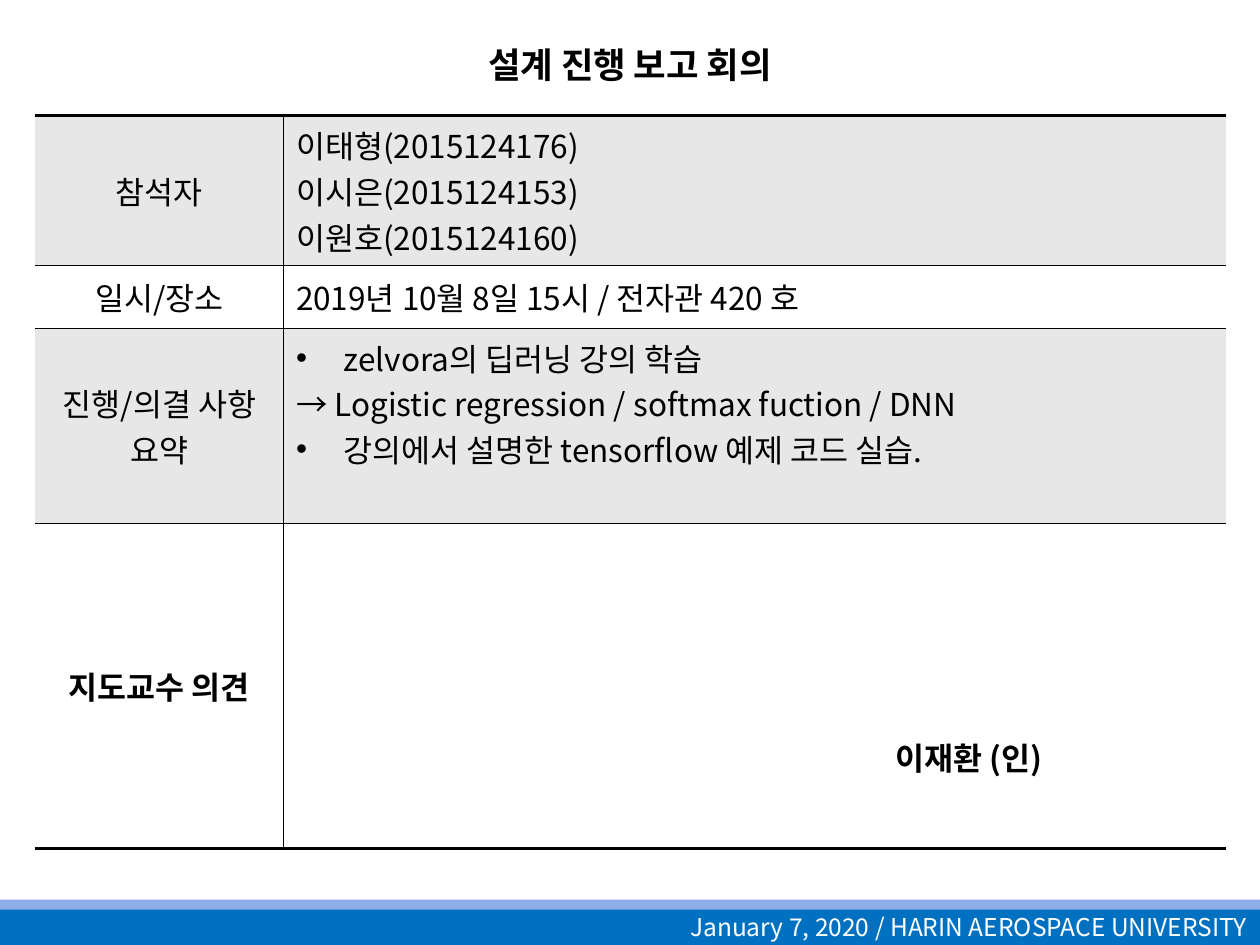
import dataclasses

import pptx
import pptx.dml.color
import pptx.enum.shapes
import pptx.enum.text
import pptx.oxml.ns
import pptx.util
from lxml import etree

Inches = pptx.util.Inches
Pt = pptx.util.Pt
Align = pptx.enum.text.PP_ALIGN
Anchor = pptx.enum.text.MSO_ANCHOR
qn = pptx.oxml.ns.qn


@dataclasses.dataclass(frozen=True)
class Theme:
    font: str = "Noto Sans CJK KR"
    ink: str = "000000"
    paper: str = "FFFFFF"
    shade: str = "E7E7E7"
    footer: str = "0070C0"
    stripe: str = "8FADE9"
    title_size: float = 25.2
    body_size: float = 18
    footer_size: float = 14
    outer_line: float = 2
    inner_line: float = 1


THEME = Theme()


def color(value):
    return pptx.dml.color.RGBColor.from_string(value)


def add_span(para, text, size, ink=THEME.ink, bold=False):
    span = para.add_run()
    span.text = text
    span.font.name = THEME.font
    span.font.size = Pt(size)
    span.font.bold = bold
    span.font.color.rgb = color(ink)
    # Korean letters take the East Asian typeface
    etree.SubElement(span.font._element, qn("a:ea"), typeface=THEME.font)
    return span


def add_bar(page, box, fill):
    bar = page.shapes.add_shape(pptx.enum.shapes.MSO_SHAPE.RECTANGLE,
                                *map(Inches, box))
    bar.shadow.inherit = False
    bar.fill.solid()
    bar.fill.fore_color.rgb = color(fill)
    bar.line.fill.background()
    return bar


def add_footer(page, box, text):
    left, top, width, height = box
    stripe_height = 0.08
    bar = add_bar(page, (left, top + stripe_height - 0.01, width,
                         height - stripe_height + 0.01), THEME.footer)
    add_bar(page, (left, top, width, stripe_height), THEME.stripe)
    frame = bar.text_frame
    frame.margin_top = frame.margin_bottom = 0
    frame.vertical_anchor = Anchor.MIDDLE
    para = frame.paragraphs[0]
    para.alignment = Align.RIGHT
    add_span(para, text, THEME.footer_size, THEME.paper)


def add_title(page, box, text):
    title = page.shapes.title
    title.left, title.top, title.width, title.height = map(Inches, box)
    title.text_frame.vertical_anchor = Anchor.MIDDLE
    para = title.text_frame.paragraphs[0]
    para.alignment = Align.CENTER
    span = add_span(para, text, THEME.title_size, bold=True)
    span.font._element.set("cap", "small")


def set_borders(cell, widths):
    """Draw left, right, top and bottom borders; a width of 0 draws none."""
    properties = cell._tc.get_or_add_tcPr()
    for index, (side, width) in enumerate(zip("LRTB", widths)):
        line = etree.Element(qn("a:ln" + side), w=str(Pt(width)))
        if width:
            fill = etree.SubElement(line, qn("a:solidFill"))
            etree.SubElement(fill, qn("a:srgbClr"), val=THEME.ink)
        else:
            etree.SubElement(line, qn("a:noFill"))
        properties.insert(index, line)


def set_indent(para, left, bullet=None):
    properties = para._p.get_or_add_pPr()
    properties.set("marL", str(Inches(left)))
    if bullet:
        properties.set("indent", str(Inches(-left)))
        etree.SubElement(properties, qn("a:buFont"), typeface="Arial")
        etree.SubElement(properties, qn("a:buChar"), char=bullet)


def fill_cell(cell, lines, fill, align, bold):
    cell.fill.solid()
    cell.fill.fore_color.rgb = color(fill)
    cell.vertical_anchor = Anchor.MIDDLE
    for index, text in enumerate(lines):
        frame = cell.text_frame
        para = frame.add_paragraph() if index else frame.paragraphs[0]
        para.alignment = align
        if text.startswith("•"):
            set_indent(para, 0.38, "•")
            text = text[1:]
        add_span(para, text, THEME.body_size, bold=bold)


def add_report(page, box, columns, rows):
    table = page.shapes.add_table(len(rows), len(columns),
                                  *map(Inches, box)).table
    table.first_row = False
    table.horz_banding = False
    for column, width in zip(table.columns, columns):
        column.width = Inches(width)
    last = len(rows) - 1
    for index, (height, label, lines) in enumerate(rows):
        table.rows[index].height = Inches(height)
        fill = THEME.paper if index % 2 else THEME.shade
        top = THEME.inner_line if index else THEME.outer_line
        bottom = THEME.outer_line if index == last else THEME.inner_line
        label_cell, text_cell = table.cell(index, 0), table.cell(index, 1)
        fill_cell(label_cell, [label], fill, Align.CENTER, index == last)
        fill_cell(text_cell, lines, fill, Align.LEFT, index == last)
        set_borders(label_cell, (0, THEME.inner_line, top, bottom))
        set_borders(text_cell, (THEME.inner_line, 0, top, bottom))
    # The progress list sits high in its row
    table.cell(2, 1).vertical_anchor = Anchor.TOP
    # The signature sits low and to the right
    signature = table.cell(last, 1)
    signature.vertical_anchor = Anchor.BOTTOM
    signature.margin_bottom = Inches(0.55)
    set_indent(signature.text_frame.paragraphs[0], 4.76)


def main():
    deck = pptx.Presentation()
    deck.slide_width, deck.slide_height = Inches(10), Inches(7.5)
    page = deck.slides.add_slide(deck.slide_layouts.get_by_name("Title Only"))
    page.background.fill.solid()
    page.background.fill.fore_color.rgb = color(THEME.paper)

    add_footer(page, (0, 7.14, 10, 0.36),
               "January 7, 2020 / HARIN AEROSPACE UNIVERSITY")
    add_title(page, (0.75, 0.21, 8.5, 0.55), "설계 진행 보고 회의")
    rows = [
        (1.18, "참석자", ["이태형(2015124176)", "이시은(2015124153)",
                       "이원호(2015124160)"]),
        (0.5, "일시/장소", ["2019년 10월 8일 15시 / 전자관 420 호"]),
        (1.55, "진행/의결 사항 요약", [
            "•zelvora의 딥러닝 강의 학습",
            "→ Logistic regression / softmax fuction / DNN",
            "•강의에서 설명한 tensorflow 예제 코드 실습."]),
        (2.58, "지도교수 의견", ["이재환 (인)"]),
    ]
    add_report(page, (0.28, 0.92, 9.45, 5.81), (1.97, 7.48), rows)
    deck.save("out.pptx")


if __name__ == "__main__":
    main()
